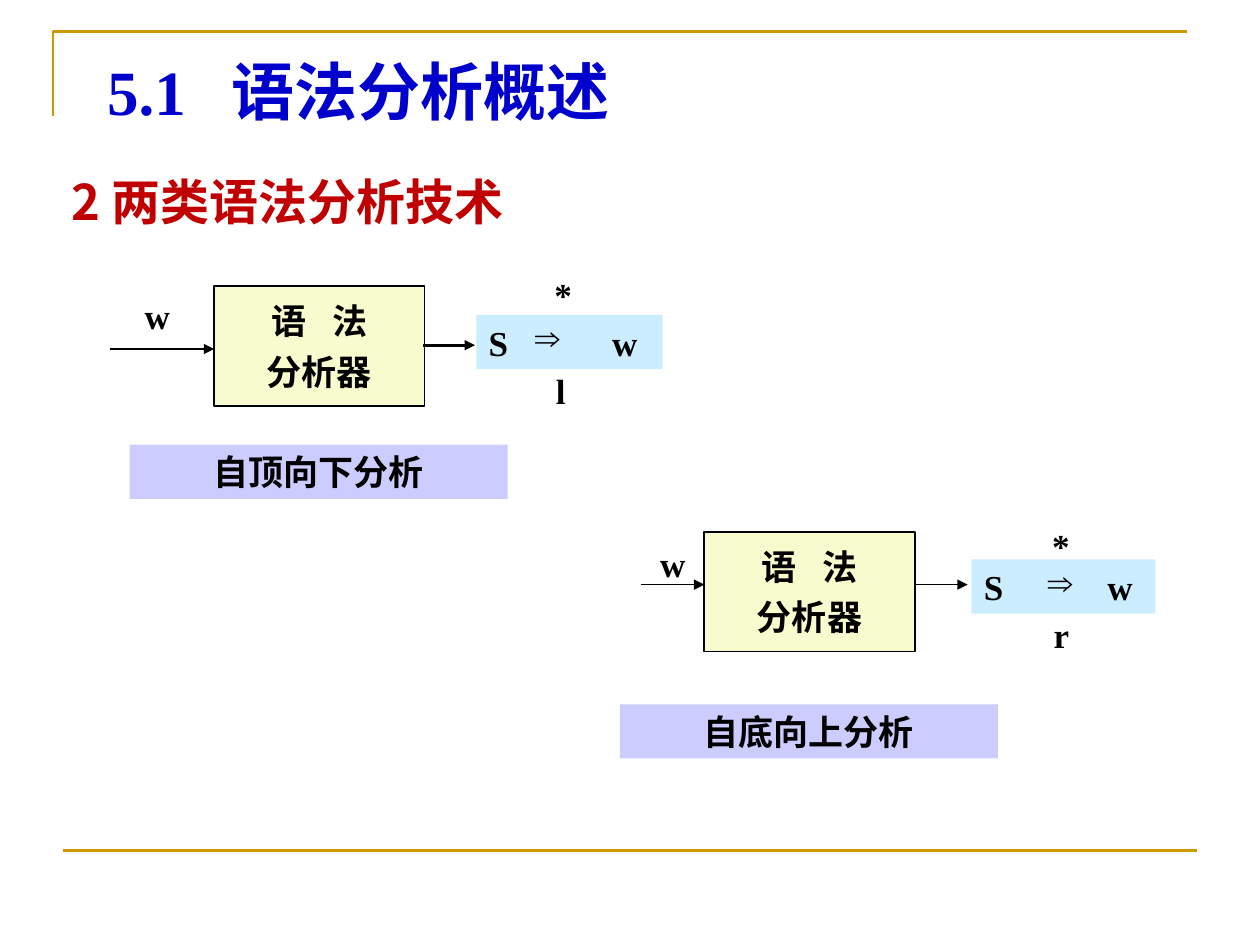
from lxml import etree
from pptx import Presentation
from pptx import util as u
from pptx.dml.color import RGBColor
from pptx.enum import shapes, text
from pptx.oxml.ns import qn

I = u.Inches
C = {"gold": "CC9900", "title": "0000CC", "section": "C00000", "ink": "000000",
     "parser": "F7FBCD", "result": "CCECFF", "label": "CCCCFF"}
SERIF, SANS = "Times New Roman", "Noto Sans CJK SC"
CENTER, LEFT = text.PP_ALIGN.CENTER, text.PP_ALIGN.LEFT


def write(sp, lines, size=20, color="ink", font=SERIF, align=CENTER, spacing=None,
          tab=None, track=None, anchor=text.MSO_ANCHOR.MIDDLE):
    tf = sp.text_frame
    for k, v in {"word_wrap": True, "vertical_anchor": anchor, "margin_left": I(0.1),
                 "margin_right": I(0.1), "margin_top": I(0.05), "margin_bottom": I(0.05)}.items():
        setattr(tf, k, v)
    for i, line in enumerate(lines):
        p = tf.paragraphs[0] if i == 0 else tf.add_paragraph()
        p.alignment = align
        if spacing:
            p.line_spacing = spacing
        if i:
            p.space_before = u.Pt(5)
        if tab:
            tabs = etree.SubElement(p._p.get_or_add_pPr(), qn("a:tabLst"))
            etree.SubElement(tabs, qn("a:tab"), pos=str(I(tab)), algn="l")
        r = p.add_run()
        r.text = line
        for k, v in {"name": font, "size": u.Pt(size), "bold": True}.items():
            setattr(r.font, k, v)
        r.font.color.rgb = RGBColor.from_string(C[color])
        etree.SubElement(r._r.rPr, qn("a:ea"), typeface=SANS)
        if track and i == 0:
            r._r.rPr.set("spc", str(track))


def rule(parent, x1, y1, x2, y2, color, width, arrow=False):
    c = parent.add_connector(shapes.MSO_CONNECTOR.STRAIGHT, I(x1), I(y1), I(x2), I(y2))
    c.line.color.rgb = RGBColor.from_string(C[color])
    c.line.width = u.Pt(width)
    if arrow:
        etree.SubElement(c.line._get_or_add_ln(), qn("a:tailEnd"), type="triangle", w="med", len="med")
    etree.SubElement(c._element.spPr, qn("a:effectLst"))


prs = Presentation()
prs.slide_width, prs.slide_height = I(10), I(7.5)
s = prs.slides.add_slide(prs.slide_layouts[5])

fb = s.shapes.build_freeform(I(0.42), I(0.92))
fb.add_line_segments([(I(0.42), I(0.25)), (I(9.42), I(0.25))], close=False)
corner = fb.convert_to_shape()
corner.shadow.inherit = False
corner.fill.background()
corner.line.color.rgb = RGBColor.from_string(C["gold"])
corner.line.width = u.Pt(1.5)
rule(s.shapes, 0.5, 6.75, 9.5, 6.75, "gold", 1.5)

title = s.shapes.title
for k, v in {"left": 0.75, "top": 0.36, "width": 8.35, "height": 0.71}.items():
    setattr(title, k, I(v))
write(title, ["5.1\t语法分析概述"], 36, "title", align=LEFT, tab=0.99)

section = s.shapes.add_textbox(I(0.47), I(1.31), I(8.28), I(0.57))
write(section, ["2 两类语法分析技术"], 28, "section", SANS, LEFT)

diagrams = [
    {"parser": (1.7, 2.27), "result": (3.78, 2.5, 1.48), "label": (1.03, 3.53, "自顶向下分析"),
     "w": (1.05, 2.29), "width": 1.5, "arrows": [(0.87, 1.7, 2.77), (3.36, 3.77, 2.74)],
     "marks": [("⇒", 3.84, 2.57, 1.01, 0.34), ("l", 4.24, 3, 0.42, 0.3), ("*", 4.3, 2.24, 0.34, 0.3)]},
    {"parser": (5.59, 4.22), "result": (7.71, 4.44, 1.46), "label": (4.92, 5.59, "自底向上分析"),
     "w": (5.14, 4.26), "width": 1, "arrows": [(5.09, 5.59, 4.64), (7.26, 7.68, 4.64)],
     "marks": [("⇒", 8, 4.52, 0.83, 0.34), ("r", 8.26, 4.94, 0.33, 0.3), ("*", 8.25, 4.23, 0.34, 0.3)]},
]
for d in diagrams:
    g = s.shapes.add_group_shape().shapes
    px, py = d["parser"]
    rx, ry, rw = d["result"]
    lx, ly, label = d["label"]
    boxes = [
        ("parser", px, py, 1.67, 0.95, ["语 法", "分析器"], {"track": 500}),
        ("result", rx, ry, rw, 0.43, ["S\tw"], {"align": LEFT, "tab": 0.98}),
        ("label", lx, ly, 3, 0.43, [label], {}),
    ]
    for kind, x, y, w, h, lines, fmt in boxes:
        sp = g.add_shape(shapes.MSO_SHAPE.RECTANGLE, I(x), I(y), I(w), I(h))
        sp.shadow.inherit = False
        sp.fill.solid()
        sp.fill.fore_color.rgb = RGBColor.from_string(C[kind])
        if kind == "parser":
            sp.line.color.rgb = RGBColor.from_string(C["ink"])
            sp.line.width = u.Pt(1)
        else:
            sp.line.fill.background()
        write(sp, lines, **fmt)
    wx, wy = d["w"]
    write(g.add_textbox(I(wx), I(wy), I(0.42), I(0.43)), ["w"], align=LEFT)
    for mark, x, y, w, h in d["marks"]:
        write(g.add_textbox(I(x), I(y), I(w), I(h)), [mark], spacing=0.6, anchor=text.MSO_ANCHOR.TOP)
    for x1, x2, y in d["arrows"]:
        rule(g, x1, y, x2, y, "ink", d["width"], arrow=True)

prs.save("out.pptx")
